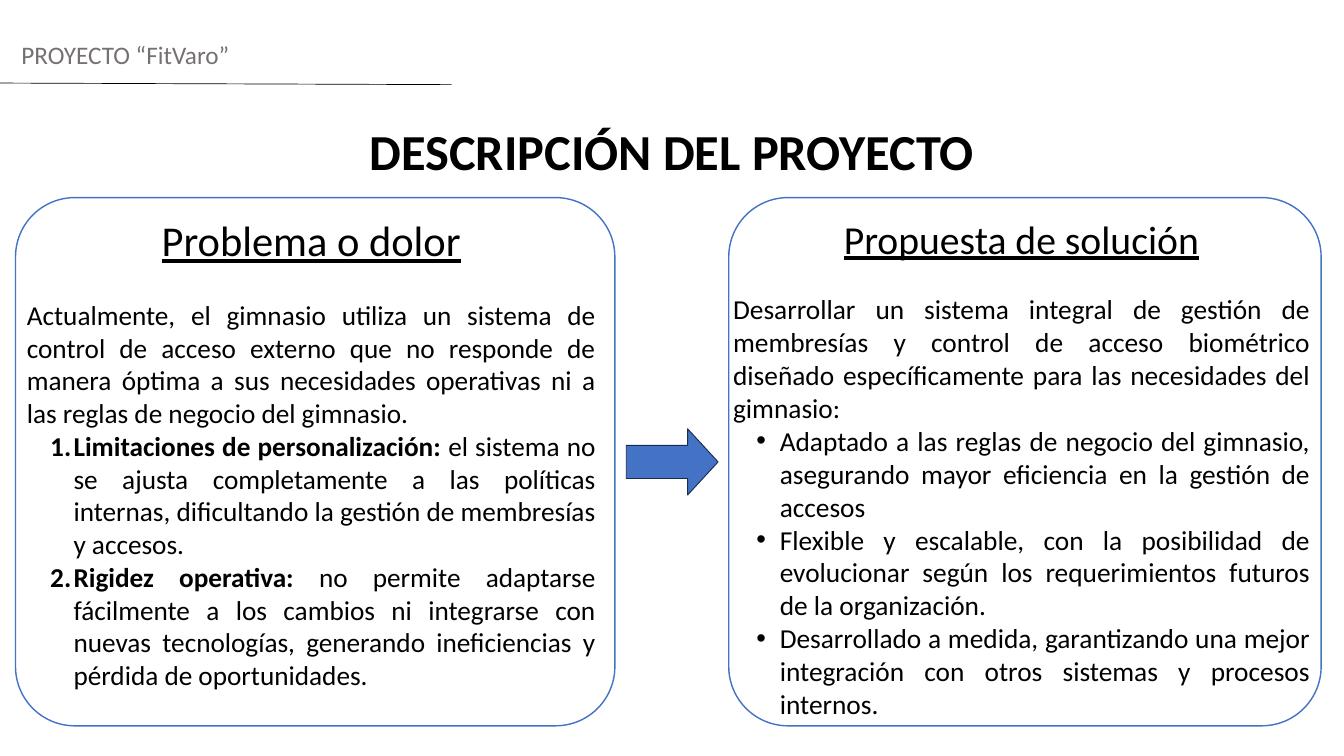
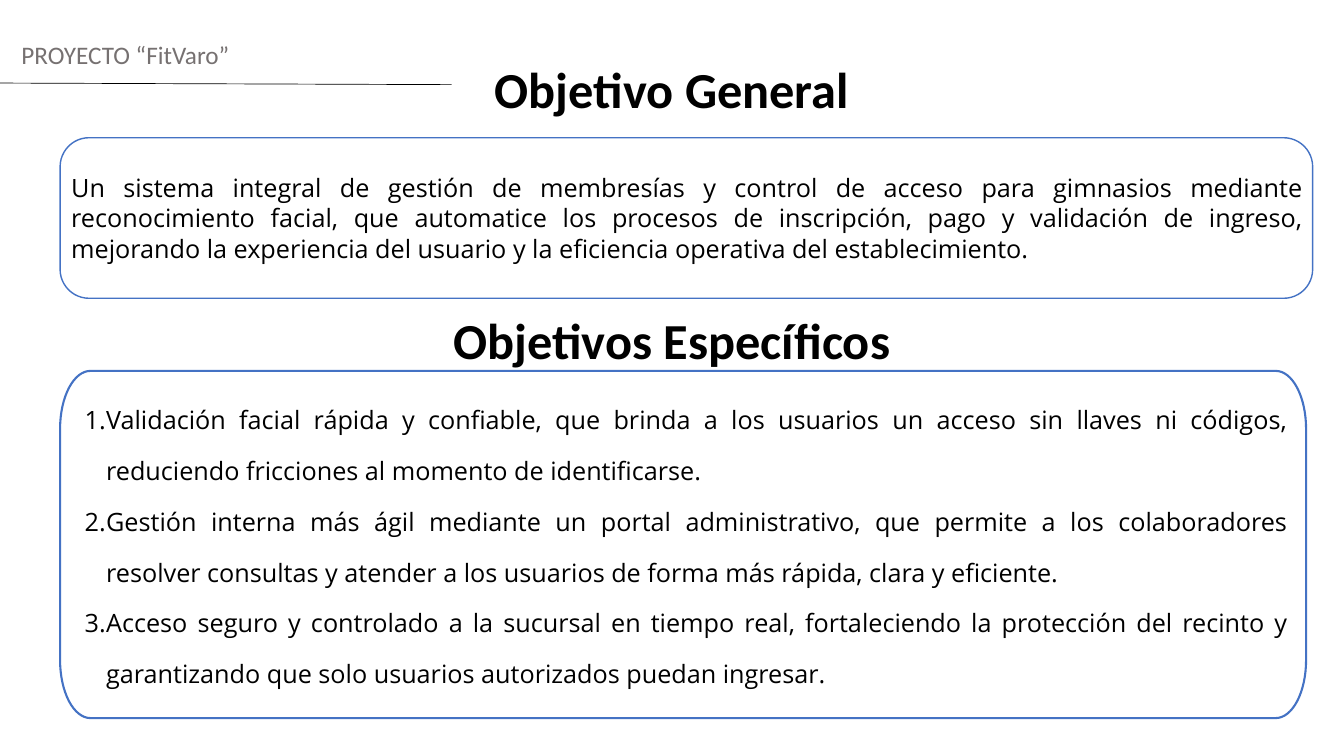
from math import cos, pi, sin

from lxml.etree import SubElement
from pptx import Presentation
from pptx.dml.color import RGBColor
from pptx.enum.shapes import MSO_CONNECTOR, MSO_SHAPE
from pptx.enum.text import MSO_ANCHOR, PP_ALIGN
from pptx.oxml.ns import qn
from pptx.util import Pt

LEFT, MID, JUST = PP_ALIGN.LEFT, PP_ALIGN.CENTER, PP_ALIGN.JUSTIFY
TOP, CENTER = MSO_ANCHOR.TOP, MSO_ANCHOR.MIDDLE
ARROW = MSO_SHAPE.RIGHT_ARROW
ROUND = MSO_SHAPE.ROUNDED_RECTANGLE
STRAIGHT = MSO_CONNECTOR.STRAIGHT

BLACK, GREY, BLUE, NAVY = "000000", "767171", "4472C4", "172C51"
SANS, OPEN = "Calibri", "Open Sans"
NUMBER, DOT = "number", "dot"
WIDE, HIGH = 1440, 810


def color(code):
    return RGBColor.from_string(code)


def write(box, text, size=27, font=SANS, tone=BLACK, lead="", bold=False,
          under=False, align=JUST, line=32.4, before=0, mark=None, indent=0):
    frame = box.text_frame
    para = frame.paragraphs[0]
    if para.runs:
        para = frame.add_paragraph()
    if mark:
        props = para._p.get_or_add_pPr()
        props.set("marL", str(Pt(indent)))
        props.set("indent", str(-Pt(indent / 2)))
        if mark == NUMBER:
            SubElement(props, qn("a:buAutoNum"), type="arabicPeriod")
        else:
            SubElement(props, qn("a:buFont"), typeface="Arial")
            SubElement(props, qn("a:buChar"), char="•")
    para.alignment = align
    para.line_spacing = Pt(line)
    if before:
        para.space_before = Pt(before)
    for part, heavy in ((lead, True), (text, bold)):
        if part:
            run = para.add_run()
            run.text = part
            face = run.font
            face.name, face.size = font, Pt(size)
            face.bold, face.underline = heavy, under
            face.color.rgb = color(tone)


class Deck:
    def __init__(self):
        self.file = Presentation()
        self.file.slide_width, self.file.slide_height = Pt(WIDE), Pt(HIGH)
        self.shapes = None

    def page(self):
        self.shapes = self.file.slides.add_slide(self.file.slide_layouts[6]).shapes
        self.rule(0, 89, 484, 90.7)
        head = self.box(23, 42.5, 1400, 36.7, pad=0)
        write(head, "PROYECTO “FitVaro”", tone=GREY, align=LEFT)

    def rule(self, x1, y1, x2, y2):
        line = self.shapes.add_connector(STRAIGHT, Pt(x1), Pt(y1), Pt(x2), Pt(y2))
        line.line.color.rgb = color(BLACK)
        line.line.width = Pt(0.75)
        SubElement(line._element.spPr, qn("a:effectLst"))

    def box(self, x, y, w, h, pad=4.3, anchor=TOP):
        box = self.shapes.add_textbox(Pt(x), Pt(y), Pt(w), Pt(h))
        frame = box.text_frame
        frame.word_wrap = True
        frame.vertical_anchor = anchor
        frame.margin_left = frame.margin_right = Pt(pad)
        frame.margin_top = frame.margin_bottom = Pt(pad)
        return box

    def title(self, text, y):
        box = self.box(7.2, y, WIDE - 14.4, 73.4, pad=0)
        write(box, text, size=54, bold=True, align=MID, line=64.8)

    def style(self, shape, edge, width, fill=None):
        shape.shadow.inherit = False
        if fill:
            shape.fill.solid()
            shape.fill.fore_color.rgb = color(fill)
        else:
            shape.fill.background()
        shape.line.color.rgb = color(edge)
        shape.line.width = Pt(width)

    def card(self, x, y, w, h, curve):
        shape = self.shapes.add_shape(ROUND, Pt(x), Pt(y), Pt(w), Pt(h))
        shape.adjustments[0] = curve / min(w, h)
        self.style(shape, BLUE, 1.5)

    def oval_card(self, x, y, w, h, rx, ry, steps=16):
        hubs = [(x + w - rx, y + h - ry), (x + rx, y + h - ry),
                (x + rx, y + ry), (x + w - rx, y + ry)]
        dots = []
        for turn, (cx, cy) in enumerate(hubs):
            for step in range(steps + 1):
                angle = (turn + step / steps) * pi / 2
                dots.append((Pt(cx + rx * cos(angle)), Pt(cy + ry * sin(angle))))
        path = self.shapes.build_freeform(*dots[0])
        path.add_line_segments(dots[1:], close=True)
        self.style(path.convert_to_shape(), BLUE, 2.25)

    def arrow(self, x, y, w, h):
        shape = self.shapes.add_shape(ARROW, Pt(x), Pt(y), Pt(w), Pt(h))
        shape.adjustments[0], shape.adjustments[1] = 0.5, 0.46
        self.style(shape, NAVY, 1, BLUE)

    def panel(self, x, w, inset, room, head, size, line, intro, items, mark, body, gap):
        self.card(x, 211.7, w, 566, 63.5)
        box = self.box(x + inset, 225.4, room, 553)
        write(box, head, size=size, under=True, align=MID, line=line)
        write(box, intro, size=body, line=gap[1], before=gap[0])
        for lead, text in items:
            write(box, text, lead=lead, size=body, line=gap[1], mark=mark, indent=50)


def describe(deck):
    deck.page()
    deck.panel(
        780.8, 634.7, 0.4, 626.4, "Propuesta de solución", 42.5, 51,
        "Desarrollar un sistema integral de gestión de membresías y control de acceso "
        "biométrico diseñado específicamente para las necesidades del gimnasio:",
        [("", "Adaptado a las reglas de negocio del gimnasio, asegurando mayor "
              "eficiencia en la gestión de accesos"),
         ("", "Flexible y escalable, con la posibilidad de evolucionar según los "
              "requerimientos futuros de la organización."),
         ("", "Desarrollado a medida, garantizando una mejor integración con otros "
              "sistemas y procesos internos.")],
        DOT, 29.3, (32.8, 35.2))
    deck.panel(
        16.6, 642.2, 7.9, 617.8, "Problema o dolor", 45.5, 54.6,
        "Actualmente, el gimnasio utiliza un sistema de control de acceso externo que no "
        "responde de manera óptima a sus necesidades operativas ni a las reglas de "
        "negocio del gimnasio.",
        [("Limitaciones de personalización: ",
          "el sistema no se ajusta completamente a las políticas internas, "
          "dificultando la gestión de membresías y accesos."),
         ("Rigidez operativa:",
          " no permite adaptarse fácilmente a los cambios ni integrarse con nuevas "
          "tecnologías, generando ineficiencias y pérdida de oportunidades.")],
        NUMBER, 29.2, (35.1, 35.1))
    deck.arrow(671, 459.4, 98.4, 71)
    deck.title("DESCRIPCIÓN DEL PROYECTO", 128.2)


def aims(deck):
    deck.page()
    deck.title("Objetivo General", 62)
    deck.title("Objetivos Específicos", 331.2)
    deck.card(64.4, 147.6, 1342, 172, 31)
    main = deck.box(72, 146.2, 1327.7, 174.2, anchor=CENTER)
    write(main, "Un sistema integral de gestión de membresías y control de acceso para "
                "gimnasios mediante reconocimiento facial, que automatice los procesos "
                "de inscripción, pago y validación de ingreso, mejorando la experiencia "
                "del usuario y la eficiencia operativa del establecimiento.", font=OPEN)
    deck.oval_card(64.4, 397.4, 1335, 372, 32.5, 62)
    goals = deck.box(63.4, 387.4, 1320.5, 374.4, anchor=CENTER)
    for text in (
        "Validación facial rápida y confiable, que brinda a los usuarios un acceso sin "
        "llaves ni códigos, reduciendo fricciones al momento de identificarse.",
        "Gestión interna más ágil mediante un portal administrativo, que permite a los "
        "colaboradores resolver consultas y atender a los usuarios de forma más rápida, "
        "clara y eficiente.",
        "Acceso seguro y controlado a la sucursal en tiempo real, fortaleciendo la "
        "protección del recinto y garantizando que solo usuarios autorizados puedan "
        "ingresar.",
    ):
        write(goals, text, font=OPEN, line=54.5, mark=NUMBER, indent=46)


def main():
    deck = Deck()
    describe(deck)
    aims(deck)
    deck.file.save("out.pptx")


if __name__ == "__main__":
    main()
